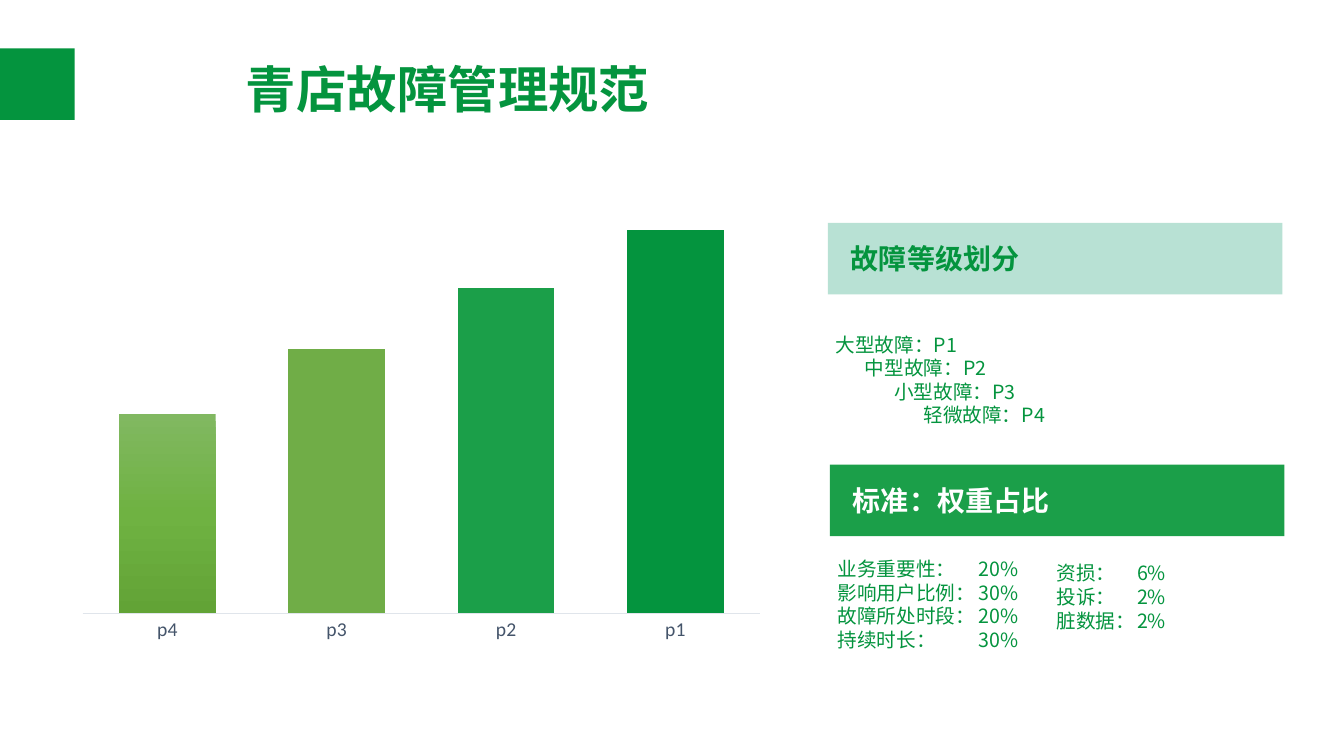
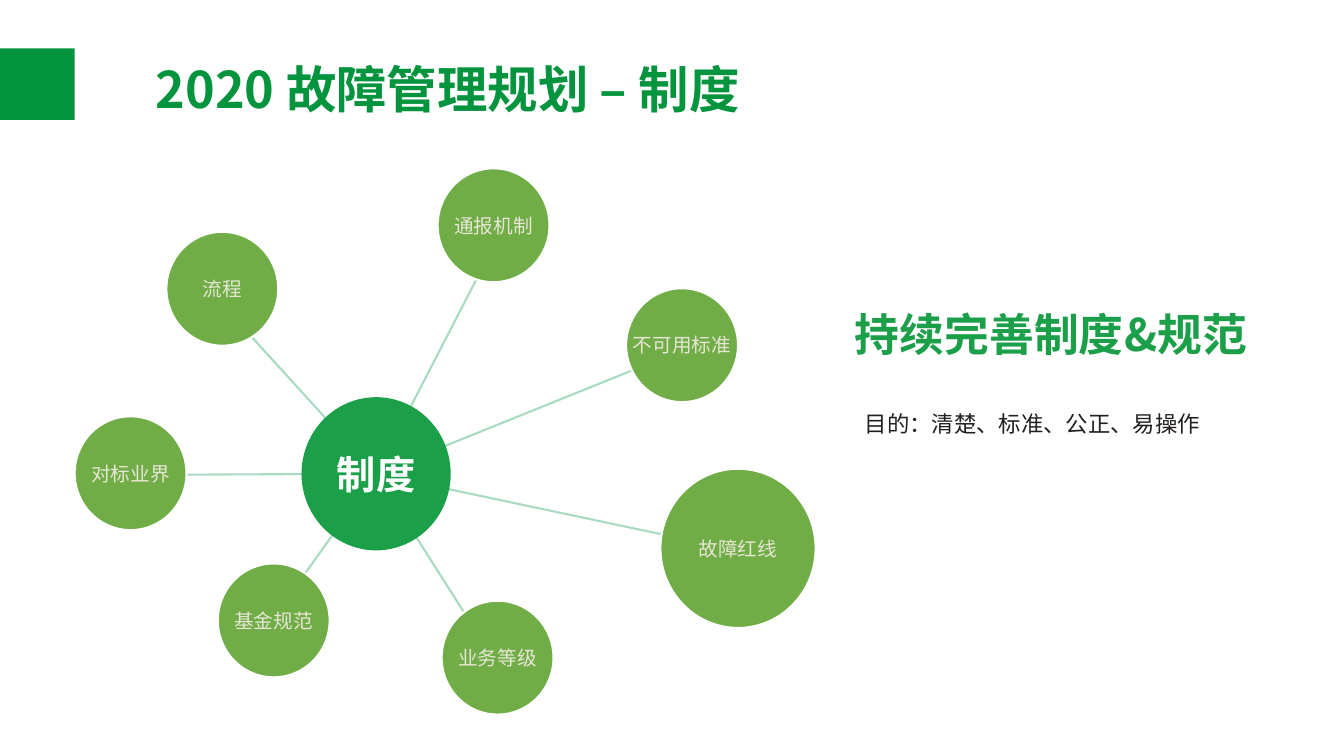
from dataclasses import dataclass
import copy

import pptx
import pptx.chart.data
import pptx.dml.color
import pptx.enum.chart
import pptx.enum.shapes
import pptx.enum.text
import pptx.oxml
import pptx.oxml.ns
import pptx.util

Inches = pptx.util.Inches
Pt = pptx.util.Pt
RGBColor = pptx.dml.color.RGBColor
Align = pptx.enum.text.PP_ALIGN
Anchor = pptx.enum.text.MSO_ANCHOR
Preset = pptx.enum.shapes.MSO_SHAPE
qn = pptx.oxml.ns.qn

DEEP_GREEN = RGBColor(0x04, 0x94, 0x3E)
GREEN = RGBColor(0x1B, 0x9F, 0x49)
LEAF = RGBColor(0x70, 0xAD, 0x47)
MINT = RGBColor(0xB8, 0xE1, 0xD4)
SPOKE = RGBColor(0xA9, 0xDA, 0xC2)
CREAM = RGBColor(0xE7, 0xE6, 0xD4)
WHITE = RGBColor(0xFF, 0xFF, 0xFF)
INK = RGBColor(0x23, 0x1F, 0x20)
SLATE = RGBColor(0x44, 0x54, 0x6A)
AXIS = RGBColor(0xE0, 0xE5, 0xEB)
P4_GRADIENT = (RGBColor(0x81, 0xB8, 0x61), RGBColor(0x6F, 0xB2, 0x42), RGBColor(0x62, 0xA3, 0x36))

FONT = "Noto Sans CJK SC"
CHART_FONT = "Calibri"
LINE_HEIGHT = 1.2
LINE_DROP = 0.1


@dataclass(frozen=True)
class Box:
    left: float
    top: float
    width: float
    height: float

    def emu(self) -> tuple:
        return tuple(Inches(v) for v in (self.left, self.top, self.width, self.height))


@dataclass(frozen=True)
class Heading:
    text: str
    box: Box
    fill: RGBColor
    color: RGBColor


@dataclass(frozen=True)
class Listing:
    box: Box
    lines: tuple
    step: float = 0
    tab: float = 0


@dataclass(frozen=True)
class Topic:
    text: str
    box: Box
    tip: tuple


@dataclass(frozen=True)
class Level:
    name: str
    weight: int
    color: RGBColor | None


HEADINGS = (
    Heading("故障等级划分", Box(8.21, 2.21, 4.51, 0.71), MINT, DEEP_GREEN),
    Heading("标准：权重占比", Box(8.23, 4.61, 4.51, 0.71), GREEN, WHITE),
)
LISTINGS = (
    Listing(Box(8.19, 3.28, 4.53, 1), ("大型故障：P1", "中型故障：P2", "小型故障：P3", "轻微故障：P4"), step=0.29),
    Listing(
        Box(8.21, 5.51, 2.19, 1.07),
        ("业务重要性：\t20%", "影响用户比例：\t30%", "故障所处时段：\t20%", "持续时长：\t30%"),
        tab=1.4,
    ),
    Listing(Box(10.38, 5.55, 2.33, 0.98), ("资损：\t6%", "投诉：\t2%", "脏数据：\t2%"), tab=0.8),
)
LEVELS = (Level("p4", 52, None), Level("p3", 69, LEAF), Level("p2", 85, GREEN), Level("p1", 100, DEEP_GREEN))

HUB = Box(2.99, 3.94, 1.48, 1.52)
HUB_CENTER = (3.73, 4.7)
TOPICS = (
    Topic("通报机制", Box(4.34, 1.67, 1.11, 1.13), (4.86, 2.51)),
    Topic("不可用标准", Box(6.21, 2.86, 1.11, 1.13), (7.05, 3.36)),
    Topic("故障红线", Box(6.55, 4.65, 1.54, 1.58), (7.22, 5.44)),
    Topic("对标业界", Box(0.74, 4.13, 1.11, 1.13), (1.65, 4.71)),
    Topic("业务等级", Box(4.38, 5.96, 1.11, 1.13), (4.77, 6.34)),
    Topic("基金规范", Box(2.16, 5.59, 1.11, 1.13), (2.72, 6.12)),
    Topic("流程", Box(1.65, 2.3, 1.11, 1.13), (2.43, 3.27)),
)


def write(frame, *lines: str, size: float, color: RGBColor, bold: bool = False,
          align=Align.LEFT, fixed: bool = False, step: float = 0, tab: float = 0) -> None:
    for index, line in enumerate(lines):
        paragraph = frame.paragraphs[0] if index == 0 else frame.add_paragraph()
        paragraph.alignment = align
        if fixed:
            paragraph.line_spacing = Pt(size * LINE_HEIGHT)
        properties = paragraph._p.get_or_add_pPr()
        if step:
            properties.set("marL", str(Inches(step * index)))
        if tab:
            stops = pptx.oxml.ns.qn("a:tabLst")
            stop_list = properties.makeelement(stops, {})
            stop_list.append(properties.makeelement(qn("a:tab"), {"pos": str(Inches(tab)), "algn": "l"}))
            properties.append(stop_list)
        run = paragraph.add_run()
        run.text = line
        run.font.name = FONT
        run.font.size = Pt(size)
        run.font.bold = bold
        run.font.color.rgb = color
        run_properties = run._r.get_or_add_rPr()
        run_properties.append(run_properties.makeelement(qn("a:ea"), {"typeface": FONT}))


def add_text(slide, box: Box, *lines: str, size: float, inset: float = 0.05, **style) -> None:
    frame = slide.shapes.add_textbox(*box.emu()).text_frame
    frame.word_wrap = True
    frame.margin_top = Inches(inset) + Pt(size * LINE_DROP)
    frame.margin_bottom = Inches(inset)
    write(frame, *lines, size=size, fixed=True, **style)


def add_block(slide, preset, box: Box, fill: RGBColor, outline: RGBColor | None = None):
    block = slide.shapes.add_shape(preset, *box.emu())
    block.shadow.inherit = False
    block.fill.solid()
    block.fill.fore_color.rgb = fill
    if outline is None:
        block.line.fill.background()
    else:
        block.line.color.rgb = outline
        block.line.width = Pt(1.5)
    return block


def add_titled_slide(deck, title: str):
    slide = deck.slides.add_slide(deck.slide_layouts[6])
    add_text(slide, Box(0.01, 0.48, 8.86, 0.71), title, size=36, color=DEEP_GREEN, bold=True, align=Align.CENTER)
    add_block(slide, Preset.RECTANGLE, Box(0, 0.48, 0.74, 0.71), DEEP_GREEN)
    return slide


def add_heading(slide, heading: Heading) -> None:
    frame = add_block(slide, Preset.RECTANGLE, heading.box, heading.fill).text_frame
    frame.margin_left = Inches(0.23)
    frame.vertical_anchor = Anchor.MIDDLE
    write(frame, heading.text, size=20, color=heading.color, bold=True)


def add_circle(slide, box: Box, text: str, fill: RGBColor, outline: RGBColor | None = None, **style) -> None:
    frame = add_block(slide, Preset.OVAL, box, fill, outline).text_frame
    frame.word_wrap = False
    frame.vertical_anchor = Anchor.MIDDLE
    frame.margin_left = frame.margin_right = frame.margin_top = frame.margin_bottom = Inches(0.05)
    write(frame, text, align=Align.CENTER, **style)


def add_spoke(slide, start: tuple, end: tuple) -> None:
    ends = [Inches(v) for v in (*start, *end)]
    spoke = slide.shapes.add_connector(pptx.enum.shapes.MSO_CONNECTOR.STRAIGHT, *ends)
    spoke.line.color.rgb = SPOKE
    spoke.line.width = Pt(1.5)
    properties = spoke._element.spPr
    properties.append(properties.makeelement(qn("a:effectLst"), {}))


def set_plot_area(chart, **fractions: float) -> None:
    plot_area = chart._chartSpace.chart.plotArea
    for existing in plot_area.findall(qn("c:layout")):
        plot_area.remove(existing)
    layout = plot_area.makeelement(qn("c:layout"), {})
    manual = layout.makeelement(qn("c:manualLayout"), {})
    layout.append(manual)
    settings = {"layoutTarget": "inner", "xMode": "edge", "yMode": "edge", **fractions}
    for tag, value in settings.items():
        manual.append(manual.makeelement(qn(f"c:{tag}"), {"val": str(value)}))
    plot_area.insert(0, layout)


def fill_gradient(chart, fill, colors: tuple) -> None:
    fill.gradient()
    fill.gradient_angle = 270
    stop_list = chart._chartSpace.xpath(".//a:gsLst")[0]
    middle = copy.deepcopy(stop_list[0])
    middle.set("pos", "50000")
    stop_list.insert(1, middle)
    for stop, color in zip(fill.gradient_stops, colors):
        stop.color.rgb = color


def add_level_chart(slide) -> None:
    data = pptx.chart.data.CategoryChartData()
    data.categories = [level.name for level in LEVELS]
    data.add_series("Series 1", [level.weight for level in LEVELS])
    kind = pptx.enum.chart.XL_CHART_TYPE.COLUMN_CLUSTERED
    chart = slide.shapes.add_chart(kind, *Box(0.68, 1.92, 7, 4.53).emu(), data).chart
    chart.has_legend = False
    chart.has_title = False
    chart.font.name = CHART_FONT
    chart.font.size = Pt(14)
    chart.font.color.rgb = SLATE
    set_plot_area(chart, x=0.02, y=0.08, w=0.96, h=0.84)

    weights = chart.value_axis
    weights.minimum_scale = 0
    weights.maximum_scale = 100
    weights.has_major_gridlines = False
    weights.visible = False

    names = chart.category_axis
    names.major_tick_mark = pptx.enum.chart.XL_TICK_MARK.NONE
    names.format.line.color.rgb = AXIS
    names.format.line.width = Pt(0.75)

    plot = chart.plots[0]
    plot.gap_width = 75
    plot.overlap = -25
    plot.vary_by_categories = False
    for index, level in enumerate(LEVELS):
        fill = plot.series[0].points[index].format.fill
        if level.color is None:
            fill_gradient(chart, fill, P4_GRADIENT)
        else:
            fill.solid()
            fill.fore_color.rgb = level.color


def build_standard_slide(deck) -> None:
    slide = add_titled_slide(deck, "青店故障管理规范")
    add_level_chart(slide)
    for heading in HEADINGS:
        add_heading(slide, heading)
    for listing in LISTINGS:
        add_text(slide, listing.box, *listing.lines, size=14, inset=0, color=DEEP_GREEN,
                 step=listing.step, tab=listing.tab)


def build_system_slide(deck) -> None:
    slide = add_titled_slide(deck, "2020 故障管理规划 – 制度")
    for topic in TOPICS:
        add_spoke(slide, HUB_CENTER, topic.tip)
    for topic in TOPICS:
        add_circle(slide, topic.box, topic.text, LEAF, WHITE, size=14, color=CREAM)
    add_circle(slide, HUB, "制度", GREEN, size=28, color=WHITE, bold=True)
    add_text(slide, Box(8.48, 4, 4.65, 0.37), "目的：清楚、标准、公正、易操作", size=16, color=INK)
    add_text(slide, Box(8.38, 2.95, 4.27, 0.64), "持续完善制度&规范", size=32, color=GREEN, bold=True)


def main() -> None:
    deck = pptx.Presentation()
    deck.slide_width = Inches(13.33)
    deck.slide_height = Inches(7.5)
    build_standard_slide(deck)
    build_system_slide(deck)
    deck.save("out.pptx")


if __name__ == "__main__":
    main()
